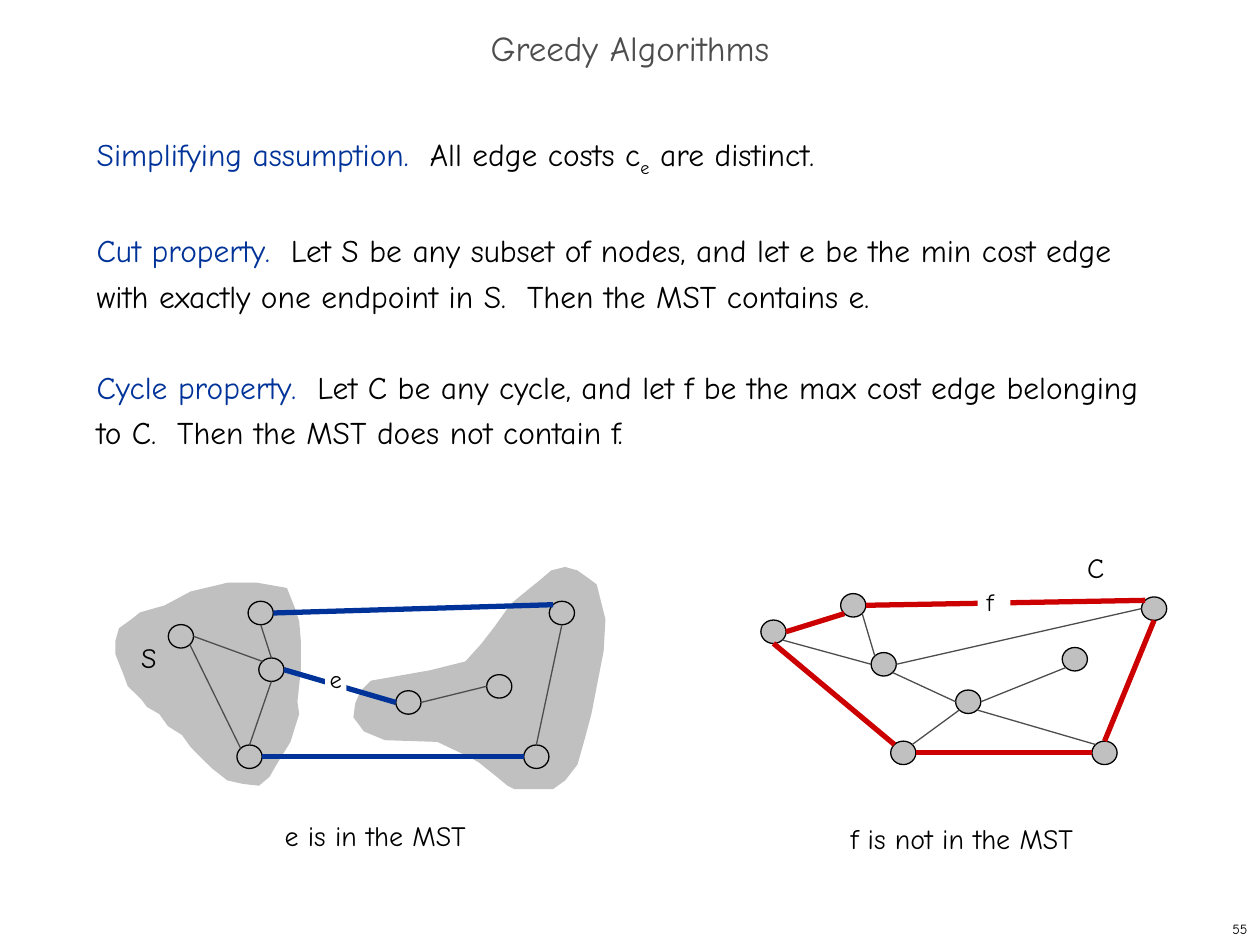
from math import cos, radians, sin

from lxml import etree
from pptx import Presentation
from pptx.dml.color import RGBColor
from pptx.enum import shapes as sh, text as tx
from pptx.oxml.ns import qn
from pptx.util import Pt

BLACK = RGBColor(0, 0, 0)
WHITE = RGBColor(255, 255, 255)
BLUE = RGBColor(0x00, 0x33, 0x99)
RED = RGBColor(0xCC, 0x00, 0x00)
DARK = RGBColor(0x4D, 0x4D, 0x4D)
GRAY = RGBColor(0xC0, 0xC0, 0xC0)
FONT = "Comic Neue"
LEFT, MID, RIGHT = tx.PP_ALIGN.LEFT, tx.PP_ALIGN.CENTER, tx.PP_ALIGN.RIGHT
TOP, HALF = tx.MSO_ANCHOR.TOP, tx.MSO_ANCHOR.MIDDLE
WIDE, HIGH = 14.4, 13.4  # node size

# Angles of the points where edges meet a node
SITES = {"E": 0, "SE": 45, "S": 90, "SW": 135,
         "W": 180, "NW": 225, "N": 270, "NE": 315}

# Points round the two shaded node sets
SET_S = [
    (80, 350), (94.3, 345.6), (108.7, 337.7), (129.6, 333.4), (146.9, 333),
    (164.2, 335.5), (168.5, 345.6), (171.4, 355), (172.4, 367),
    (172.2, 382), (170, 401), (170.6, 408.2), (166.5, 423.5), (157.7, 437),
    (153.6, 444.3), (147.6, 449.3), (138.6, 448.2), (129.6, 445.7),
    (121, 439.2), (113, 431.3), (109.4, 427), (103.7, 420.5),
    (95.8, 415.4), (90.7, 407.5), (83.5, 404), (81.4, 399.6), (73.4, 391.7),
    (69.6, 383.5), (65.5, 373.7), (65.9, 366.5), (68.4, 359.3), (75, 354)]
SET_REST = [
    (322.6, 324), (330, 326.5), (337, 331), (341.3, 334), (345.5, 353.7),
    (345.4, 372.2), (337.7, 408), (334, 423.4), (330.5, 437), (322.6, 446.4),
    (316, 451.4), (294.5, 450.7), (290, 449.3), (283.7, 443.5),
    (274.3, 436.3), (269.3, 432.7), (249.7, 423.5), (220.3, 422.6),
    (208, 418.3), (201.6, 410.4), (202.6, 402), (206, 394.6), (211.7, 388.8),
    (229, 386), (246.2, 383), (265.7, 378), (275, 368), (282.2, 358.6),
    (292.3, 344.9), (303, 335.5), (308.2, 332), (314.6, 326.5)]

# Node centres; edges read "node site node site"
CUT = {"a": (103.4, 363.6), "b": (321.1, 350.3), "c": (306.5, 432.4),
       "d": (149, 350.3), "e": (155.1, 382.7), "f": (142.6, 432.4),
       "g": (285.3, 392.2), "h": (233.4, 401.4)}
CUT_BOLD = ["c W f E", "d E b NW", "e E h W"]
CUT_THIN = ["a E e NW", "a SE f NW", "d S e N", "e S f N", "b S c N",
            "g W h E"]
CYCLE = {"a": (442, 361), "b": (659.5, 347.8), "c": (631.2, 430.2),
         "d": (487.6, 345.9), "e": (505, 379.6), "f": (516.2, 430.2),
         "g": (614.2, 376.7), "h": (553.3, 401)}
CYCLE_BOLD = ["a E d SW", "f NW a S", "b S c N", "c W f E", "d E b NW"]
CYCLE_THIN = ["d SE e NW", "b W e E", "h W e SE", "h SW f NE", "c NW h SE",
              "g SW h E", "e W a SE"]


def style(obj, form):
    for key, val in form.items():
        setattr(obj, key, val)


def put(para, word, size, color):
    run = para.add_run()
    run.text = word
    style(run.font, {"name": FONT, "size": Pt(size)})
    run.font.color.rgb = color
    return run


def frame(shape, inset=(7.2, 3.6), anchor=TOP, wrap=True):
    side, edge = map(Pt, inset)
    body = shape.text_frame
    style(body, {"margin_left": side, "margin_right": side,
                 "margin_top": edge, "margin_bottom": edge,
                 "vertical_anchor": anchor, "word_wrap": wrap})
    return body


def note(slide, word, box, size=16, align=LEFT, anchor=TOP):
    body = frame(slide.shapes.add_textbox(*map(Pt, box)), anchor=anchor,
                 wrap=False)
    body.paragraphs[0].alignment = align
    put(body.paragraphs[0], word, size, BLACK)


def tag(slide, word, box):
    """Edge label on a white patch."""
    patch = slide.shapes.add_shape(sh.MSO_SHAPE.RECTANGLE, *map(Pt, box))
    paint(patch, WHITE)
    para = frame(patch, (0, 0)).paragraphs[0]
    para.alignment = MID
    put(para, word, 14, BLACK)


def paint(shape, fill, line=None):
    shape.shadow.inherit = False
    shape.fill.solid()
    shape.fill.fore_color.rgb = fill
    if line is None:
        shape.line.fill.background()
    else:
        shape.line.color.rgb = line
        shape.line.width = Pt(0.75)


def blob(slide, pts):
    first, *rest = pts
    pen = slide.shapes.build_freeform(*first, scale=float(Pt(1)))
    pen.add_line_segments(rest, close=True)
    paint(pen.convert_to_shape(), GRAY)


def node(slide, x, y):
    box = (x - WIDE / 2, y - HIGH / 2, WIDE, HIGH)
    paint(slide.shapes.add_shape(sh.MSO_SHAPE.OVAL, *map(Pt, box)),
          GRAY, BLACK)


def site(center, name):
    turn = radians(SITES[name])
    return (Pt(center[0] + WIDE / 2 * cos(turn)),
            Pt(center[1] + HIGH / 2 * sin(turn)))


def edges(slide, nodes, codes, color, width):
    for code in codes:
        a, start, b, end = code.split()
        line = slide.shapes.add_connector(
            sh.MSO_CONNECTOR.STRAIGHT, *site(nodes[a], start),
            *site(nodes[b], end))
        line.line.color.rgb = color
        line.line.width = Pt(width)
        etree.SubElement(line._element.spPr, qn("a:effectLst"))


def graph(slide, nodes, bold, color):
    for center in nodes.values():
        node(slide, *center)
    edges(slide, nodes, bold, color, 3)


def head(slide, word):
    title = slide.shapes.title
    style(title, dict(zip(("left", "top", "width", "height"),
                          map(Pt, (0, 12, 720, 36)))))
    para = frame(title, anchor=HALF).paragraphs[0]
    style(para, {"alignment": MID, "line_spacing": 0.7})
    put(para, word, 20, DARK)


def prose(slide, items, box):
    body = frame(slide.shapes.add_textbox(*map(Pt, box)))
    for i, (lead, *parts) in enumerate(items):
        para = body.add_paragraph() if i else body.paragraphs[0]
        style(para, {"line_spacing": Pt(26), "space_before": Pt(26 * (i > 0))})
        put(para, lead, 18, BLUE)
        for n, part in enumerate(parts):
            run = put(para, part, 18, BLACK)
            if n == 1:  # second part is a subscript
                run.font._element.set("baseline", "-25000")


def main():
    deck = Presentation()
    style(deck, {"slide_width": Pt(720), "slide_height": Pt(540)})
    slide = deck.slides.add_slide(deck.slide_layouts[5])

    # Page number, title and statements
    note(slide, "55", (570, 522, 150, 18), 8, RIGHT, HALF)
    head(slide, "Greedy Algorithms")
    prose(slide, [
        ("Simplifying assumption.  ", "All edge costs c", "e",
         " are distinct."),
        ("Cut property.  ", "Let S be any subset of nodes, and let e be the "
         "min cost edge with exactly one endpoint in S.  Then the MST "
         "contains e."),
        ("Cycle property.  ", "Let C be any cycle, and let f be the max cost "
         "edge belonging to C.  Then the MST does not contain f."),
    ], (48.2, 72.2, 618, 426))

    # Cycle example
    graph(slide, CYCLE, CYCLE_BOLD, RED)
    tag(slide, "f ", (558.7, 335.5, 18.7, 19.4))
    note(slide, "C", (614.2, 311, 24.5, 29.5))

    # Cut example
    blob(slide, SET_REST)
    blob(slide, SET_S)
    graph(slide, CUT, CUT_BOLD, BLUE)
    note(slide, "S", (73.6, 362.2, 26, 29.5))
    note(slide, "e is in the MST", (155.5, 464.4, 129, 29.5))
    tag(slide, "e", (185.8, 379.4, 12.2, 19.4))
    note(slide, "f is not in the MST", (479, 466, 157.7, 29.5))

    # Ordinary edges
    edges(slide, CUT, CUT_THIN, DARK, 0.75)
    edges(slide, CYCLE, CYCLE_THIN, DARK, 0.75)

    deck.save("out.pptx")


if __name__ == "__main__":
    main()
